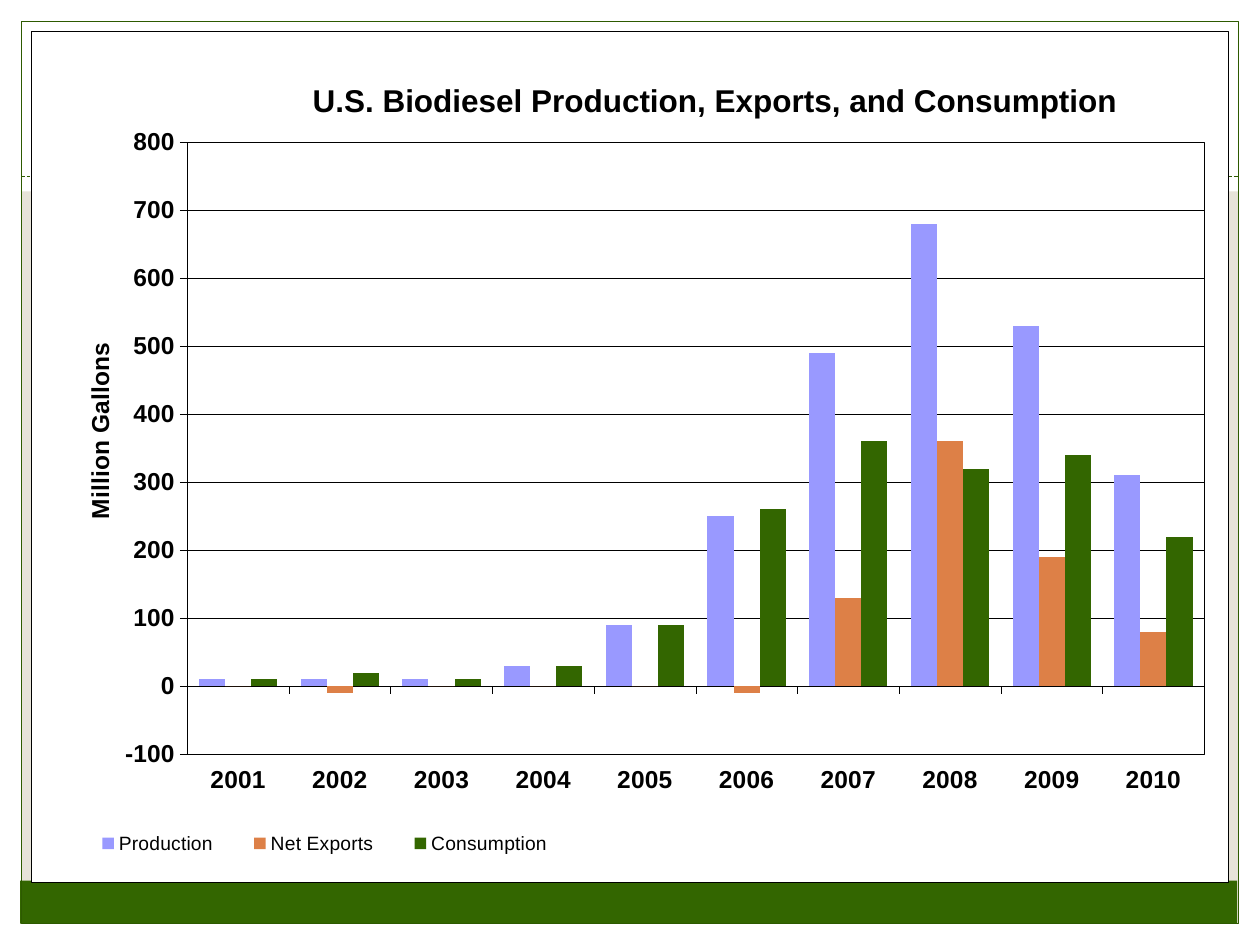
from lxml import etree
from pptx import Presentation
from pptx.chart.data import CategoryChartData
from pptx.dml.color import RGBColor
from pptx.enum.chart import (XL_CHART_TYPE, XL_LEGEND_POSITION,
                             XL_TICK_LABEL_POSITION, XL_TICK_MARK)
from pptx.enum.dml import MSO_LINE
from pptx.enum.shapes import MSO_CONNECTOR, MSO_SHAPE
from pptx.oxml import parse_xml
from pptx.oxml.ns import nsdecls, qn
from pptx.util import Inches, Pt

COLUMN = XL_CHART_TYPE.COLUMN_CLUSTERED
BOTTOM = XL_LEGEND_POSITION.BOTTOM
LOW = XL_TICK_LABEL_POSITION.LOW
OUTSIDE = XL_TICK_MARK.OUTSIDE
NONE = XL_TICK_MARK.NONE
DASH = MSO_LINE.SQUARE_DOT
RECT = MSO_SHAPE.RECTANGLE
STRAIGHT = MSO_CONNECTOR.STRAIGHT

BLACK = RGBColor(0x00, 0x00, 0x00)
WHITE = RGBColor(0xFF, 0xFF, 0xFF)
SAND = RGBColor(0xE7, 0xE3, 0xD9)
GREEN = RGBColor(0x33, 0x66, 0x00)
FOREST = RGBColor(0x2D, 0x5A, 0x00)
LILAC = RGBColor(0x99, 0x99, 0xFF)
ORANGE = RGBColor(0xDD, 0x80, 0x47)

YEARS = [str(year) for year in range(2001, 2011)]
SERIES = [
    ("Production", LILAC, [10, 10, 10, 30, 90, 250, 490, 680, 530, 310]),
    ("Net Exports", ORANGE, [0, -10, 0, 0, 0, -10, 130, 360, 190, 80]),
    ("Consumption", GREEN, [10, 20, 10, 30, 90, 260, 360, 320, 340, 220]),
]


def style(font, size, bold=False):
    font.name = "Arial"
    font.size = Pt(size)
    font.bold = bold
    font.color.rgb = BLACK


def write(frame, text, size, bold=False):
    frame.text = text
    style(frame.paragraphs[0].runs[0].font, size, bold)


def place(part, after, x, y, w=None, h=None, inner=False):
    """Lay out a chart part by fractions of the chart area."""
    for old in part.findall(qn("c:layout")):
        part.remove(old)
    layout = parse_xml(f"<c:layout {nsdecls('c')}><c:manualLayout/></c:layout>")
    rules = [("layoutTarget", "inner")] if inner else []
    rules += [("xMode", "edge"), ("yMode", "edge"), ("x", x), ("y", y)]
    if w:
        rules += [("w", w), ("h", h)]
    for name, value in rules:
        etree.SubElement(layout[0], qn(f"c:{name}")).set("val", str(value))
    if after:
        part.find(qn(after)).addnext(layout)
    else:
        part.insert(0, layout)


def panel():
    """White fill with a thin black border, for a chart part."""
    return parse_xml(
        f'<c:spPr {nsdecls("c", "a")}>'
        f'<a:solidFill><a:srgbClr val="{WHITE}"/></a:solidFill>'
        f'<a:ln w="{Pt(0.25)}"><a:solidFill><a:srgbClr val="{BLACK}"/>'
        '</a:solidFill></a:ln></c:spPr>')


def thin(line):
    line.color.rgb = BLACK
    line.width = Pt(0.25)


class Deck:
    def __init__(self):
        self.file = Presentation()
        self.file.slide_width = Inches(10)
        self.file.slide_height = Inches(7.5)
        self.slide = self.file.slides.add_slide(self.file.slide_layouts[6])
        fill = self.slide.background.fill
        fill.solid()
        fill.fore_color.rgb = SAND

    def box(self, x, y, w, h, fill=None, line=None):
        shape = self.slide.shapes.add_shape(
            RECT, Inches(x), Inches(y), Inches(w), Inches(h))
        shape.shadow.inherit = False
        if fill is None:
            shape.fill.background()
        else:
            shape.fill.solid()
            shape.fill.fore_color.rgb = fill
        if line is None:
            shape.line.fill.background()
        else:
            shape.line.color.rgb = line
            shape.line.width = Pt(0.75)

    def rule(self, x, y, end):
        """Dashed level line."""
        line = self.slide.shapes.add_connector(
            STRAIGHT, Inches(x), Inches(y), Inches(end), Inches(y))
        line.line.color.rgb = FOREST
        line.line.width = Pt(0.75)
        line.line.dash_style = DASH
        etree.SubElement(line._element.spPr, qn("a:effectLst"))

    def chart(self, x, y, w, h, title, unit):
        data = CategoryChartData(number_format="#,##0")
        data.categories = YEARS
        for name, _, values in SERIES:
            data.add_series(name, values)
        chart = self.slide.shapes.add_chart(
            COLUMN, Inches(x), Inches(y), Inches(w), Inches(h), data).chart
        style(chart.font, 12)

        write(chart.chart_title.text_frame, title, 18, bold=True)
        chart.chart_title.include_in_layout = False
        place(chart.chart_title._element, "c:tx", 0.23, 0.05)

        plot = chart.plots[0]
        plot.gap_width = 90
        plot.overlap = 0
        plot.vary_by_categories = False
        for bars, (_, color, _) in zip(plot.series, SERIES):
            bars.format.fill.solid()
            bars.format.fill.fore_color.rgb = color
            bars.invert_if_negative = False

        self.axes(chart, unit)

        chart.has_legend = True
        chart.legend.position = BOTTOM
        chart.legend.include_in_layout = False
        style(chart.legend.font, 11)
        place(chart.legend._element, "c:legendPos", 0.03, 0.93, 0.43, 0.05)

        root = chart._chartSpace.find(qn("c:chart"))
        root.addnext(panel())
        area = root.find(qn("c:plotArea"))
        area.append(panel())
        place(area, None, 0.13, 0.13, 0.85, 0.72, inner=True)

    def axes(self, chart, unit):
        for axis in (chart.category_axis, chart.value_axis):
            style(axis.tick_labels.font, 14, bold=True)
            axis.major_tick_mark = OUTSIDE
            axis.minor_tick_mark = NONE
            thin(axis.format.line)
        chart.category_axis.tick_label_position = LOW
        scale = chart.value_axis
        scale.minimum_scale = -100
        scale.maximum_scale = 800
        scale.major_unit = 100
        scale.tick_labels.number_format = "#,##0"
        scale.tick_labels.number_format_is_linked = False
        scale.has_major_gridlines = True
        thin(scale.major_gridlines.format.line)
        write(scale.axis_title.text_frame, unit, 14, bold=True)
        place(scale.axis_title._element, "c:tx", 0.04, 0.36)


def main():
    deck = Deck()
    deck.box(0, 7.33, 10, 0.17, fill=WHITE)
    deck.box(0, 0, 10, 1.52, fill=WHITE)
    for x in (0, 9.83):
        deck.box(x, 0, 0.17, 7.5, fill=WHITE)
    deck.box(0.16, 6.99, 9.66, 0.34, fill=GREEN)
    deck.box(0.17, 0.17, 9.66, 7.16, line=FOREST)
    deck.rule(0.17, 1.4, 9.83)
    deck.chart(0.25, 0.25, 9.5, 6.75,
               "U.S. Biodiesel Production, Exports, and Consumption",
               "Million Gallons")
    deck.file.save("out.pptx")


if __name__ == "__main__":
    main()
